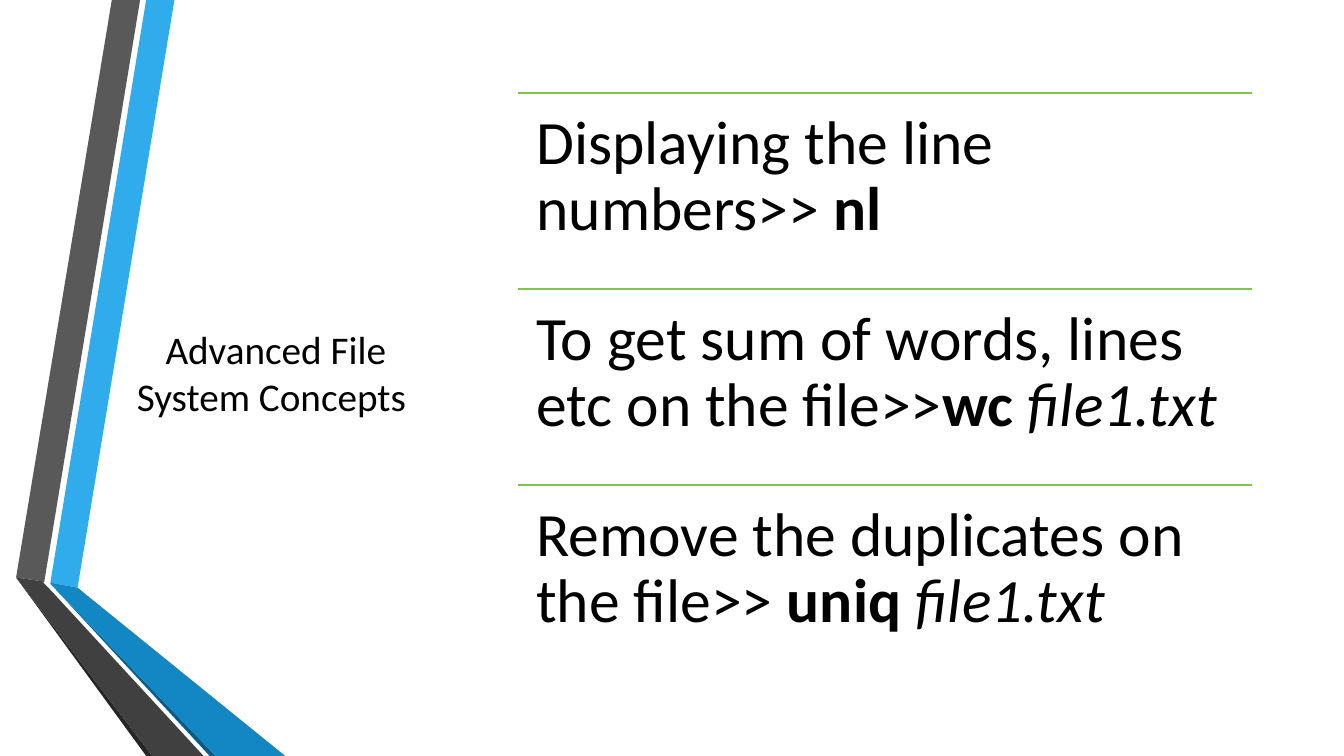
"""Build the slide on advanced file system concepts."""
from lxml import etree
from pptx import Presentation
from pptx import util as u
from pptx.dml.color import RGBColor
from pptx.enum import shapes, text
from pptx.oxml.ns import qn

COLORS = {
    "blue": "30ACEC", "blue_mid": "1287C3", "blue_dark": "0C5A82",
    "gray": "595959", "gray_mid": "404040", "gray_dark": "262626",
    "rule": "80C34F", "ink": "000000",
}
RIBBONS = [
    ("blue", [(0.5, 5.78), (0.77, 5.83), (1.73, 0), (1.45, 0)]),
    ("gray", [(1.39, 0), (1.11, 0), (0.16, 5.73), (0.44, 5.77)]),
    ("gray_dark", [(0.16, 5.73), (1.45, 7.5), (1.51, 7.5)]),
    ("blue_dark", [(0.5, 5.79), (2.08, 7.5), (2.14, 7.5)]),
    ("blue_mid", [(0.5, 5.79), (2.14, 7.5), (2.83, 7.5), (0.77, 5.83), (0.5, 5.78)]),
    ("gray_mid", [(2.02, 7.5), (0.48, 5.83), (0.43, 5.78), (0.44, 5.77),
                  (0.16, 5.73), (1.51, 7.5)]),
]
COMMANDS = [
    [("Displaying the line numbers>> ", ""), ("nl", "bold")],
    [("To get sum of words, lines etc on the file>>", ""), ("wc ", "bold"),
     ("file1.txt", "italic")],
    [("Remove the duplicates on the file>> ", ""), ("uniq ", "bold"),
     ("file1.txt", "italic")],
]
LEFT, TOP, WIDTH, ROW = 5.14, 0.92, 7.28, 1.945


def color(name):
    return RGBColor.from_string(COLORS[name])


def add_text(page, left, top, width, height, inset, size, runs):
    box = page.shapes.add_textbox(*map(u.Inches, (left, top, width, height)))
    frame = box.text_frame
    frame.word_wrap = True
    frame.margin_left = frame.margin_right = u.Inches(inset)
    frame.margin_top = frame.margin_bottom = u.Inches(inset)
    para = frame.paragraphs[0]
    for words, style in runs:
        span = para.add_run()
        span.text = words
        span.font.name = "Calibri"
        span.font.size = u.Pt(size)
        span.font.color.rgb = color("ink")
        span.font.bold = style == "bold"
        span.font.italic = style == "italic"
    return frame


deck = Presentation()
deck.slide_width = u.Inches(13.33)
deck.slide_height = u.Inches(7.5)
page = deck.slides.add_slide(deck.slide_layouts[6])

for name, points in RIBBONS:
    corners = [(u.Inches(x), u.Inches(y)) for x, y in points]
    builder = page.shapes.build_freeform(*corners[0])
    builder.add_line_segments(corners[1:], close=True)
    ribbon = builder.convert_to_shape()
    ribbon.shadow.inherit = False
    ribbon.fill.solid()
    ribbon.fill.fore_color.rgb = color(name)
    ribbon.line.fill.background()

title = add_text(page, 1.09, 2.87, 3.29, 1.64, 0.1, 28,
                 [("Advanced File System Concepts ", "")])
title.vertical_anchor = text.MSO_ANCHOR.MIDDLE
title.paragraphs[0].alignment = text.PP_ALIGN.CENTER

for index, runs in enumerate(COMMANDS):
    top = TOP + index * ROW
    rule = page.shapes.add_connector(
        shapes.MSO_CONNECTOR.STRAIGHT,
        *map(u.Inches, (LEFT, top, LEFT + WIDTH, top)))
    rule.line.color.rgb = color("rule")
    rule.line.width = u.Pt(1.25)
    etree.SubElement(rule._element.spPr, qn("a:effectLst"))
    command = add_text(page, LEFT, top, WIDTH, ROW, 0.18, 44, runs)
    command.paragraphs[0].line_spacing = 0.9

deck.save("out.pptx")
